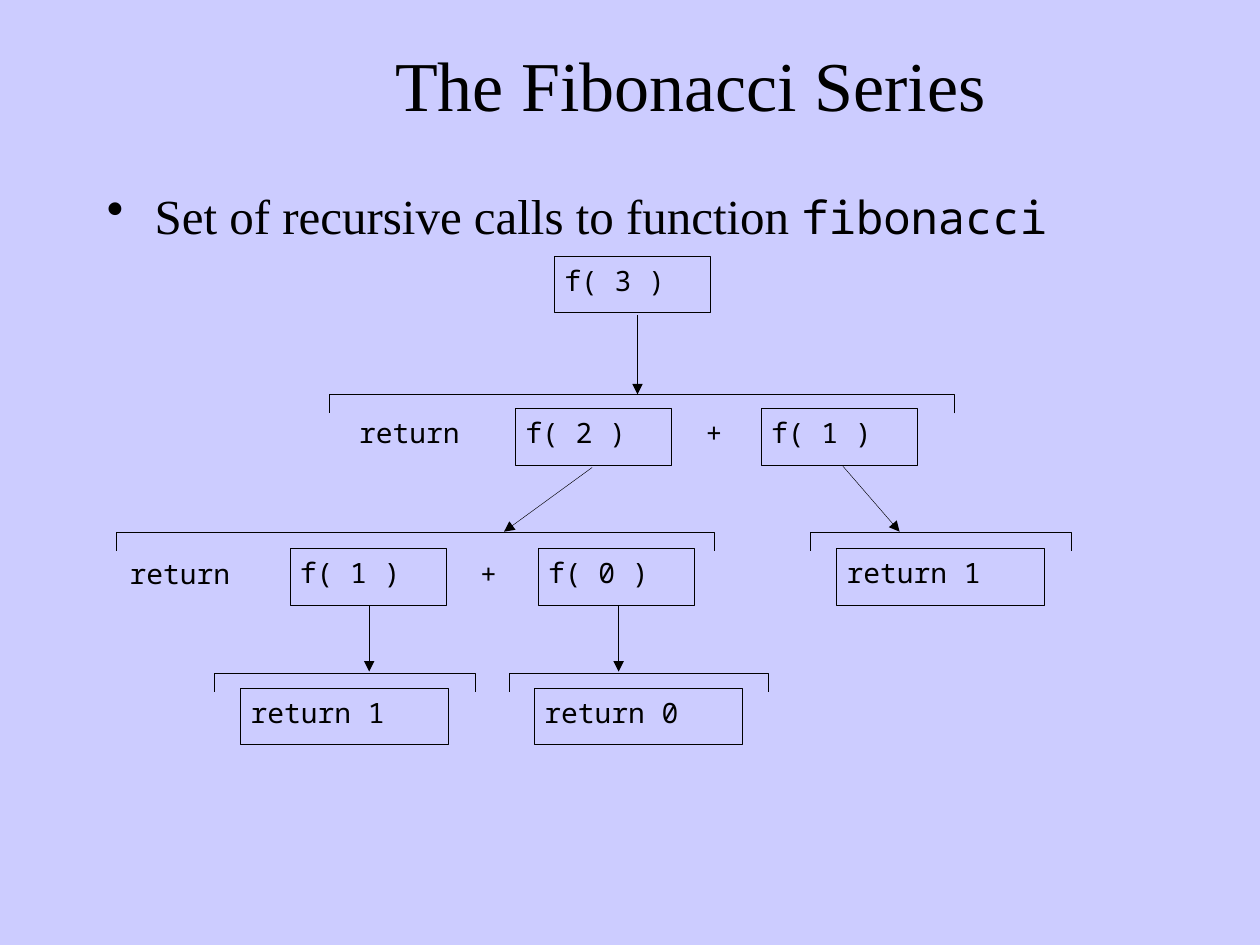
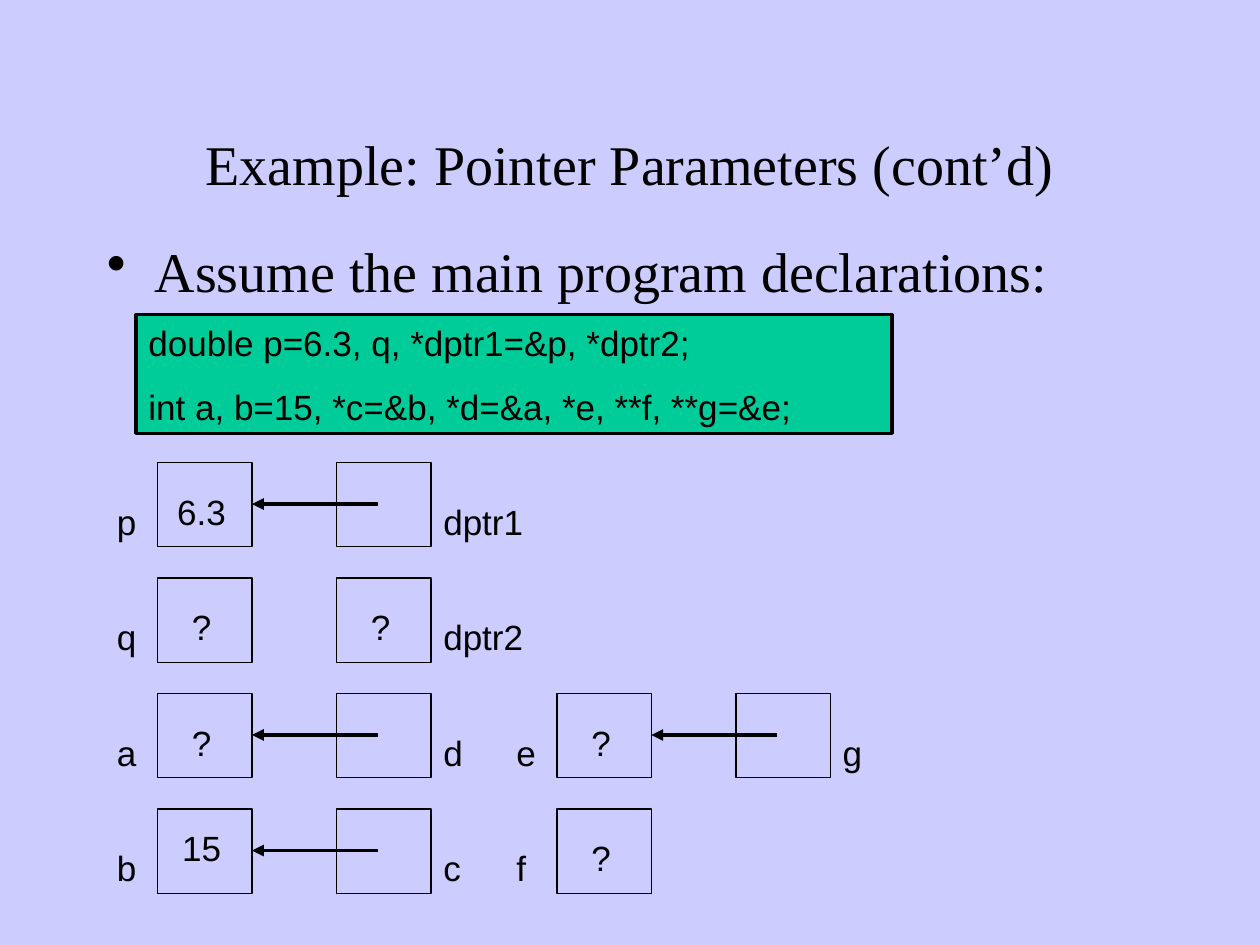
import dataclasses

import lxml.etree
import pptx
import pptx.dml.color
import pptx.enum.shapes
import pptx.enum.text
import pptx.oxml.ns
import pptx.util

Inches = pptx.util.Inches
Pt = pptx.util.Pt
ALIGN = pptx.enum.text.PP_ALIGN
ANCHOR = pptx.enum.text.MSO_ANCHOR


@dataclasses.dataclass(frozen=True)
class Theme:
    background: str = "CCCCFF"
    ink: str = "000000"
    code_fill: str = "00CC99"
    serif: str = "Times New Roman"
    sans: str = "Arial"
    mono: str = "Noto Sans Mono"
    title: float = 40
    long_title: float = 32
    call: float = 16
    memory: float = 20
    thin: float = 0.25
    cell: float = 0.75
    frame: float = 1.75
    pointer: float = 2.25


THEME = Theme()


def rgb(color):
    return pptx.dml.color.RGBColor.from_string(color)


def add_xml(parent, tag, **attributes):
    return lxml.etree.SubElement(parent, pptx.oxml.ns.qn(tag), **attributes)


def write(frame, lines, font=THEME.sans, size=THEME.memory, align=ALIGN.LEFT,
          anchor=ANCHOR.TOP, insets=(0.1, 0.05, 0.1, 0.05), gap=0, bullet=False):
    """Fill a text frame; a line is a string or a list of (text, font, size)."""
    frame.word_wrap = True
    frame.vertical_anchor = anchor
    frame.margin_left, frame.margin_top, frame.margin_right, frame.margin_bottom = map(Inches, insets)
    for index, line in enumerate(lines):
        paragraph = frame.add_paragraph() if index else frame.paragraphs[0]
        paragraph.alignment = align
        if index:
            paragraph.space_before = Pt(gap)
        if bullet:
            properties = paragraph._p.get_or_add_pPr()
            properties.set("marL", str(Inches(0.38)))
            properties.set("indent", str(-Inches(0.38)))
            add_xml(properties, "a:buChar", char="•")
        runs = [(line, font, size)] if isinstance(line, str) else line
        for text, run_font, run_size in runs:
            run = paragraph.add_run()
            run.text = text
            run.font.name = run_font
            run.font.size = Pt(run_size)
            run.font.color.rgb = rgb(THEME.ink)


def add_label(slide, left, top, width, height, lines, **text_format):
    label = slide.shapes.add_textbox(*map(Inches, (left, top, width, height)))
    write(label.text_frame, lines, **text_format)


def style_outline(shape, weight, fill=None):
    shape.shadow.inherit = False
    if fill:
        shape.fill.solid()
        shape.fill.fore_color.rgb = rgb(fill)
    else:
        shape.fill.background()
    shape.line.color.rgb = rgb(THEME.ink)
    shape.line.width = Pt(weight)


def add_box(slide, left, top, width, height, lines=(), weight=THEME.cell, fill=None, **text_format):
    box = slide.shapes.add_shape(pptx.enum.shapes.MSO_SHAPE.RECTANGLE,
                                 *map(Inches, (left, top, width, height)))
    style_outline(box, weight, fill)
    write(box.text_frame, lines, **text_format)


def add_arrow(slide, start, end, weight):
    arrow = slide.shapes.add_connector(pptx.enum.shapes.MSO_CONNECTOR.STRAIGHT,
                                       *map(Inches, (*start, *end)))
    arrow.line.color.rgb = rgb(THEME.ink)
    arrow.line.width = Pt(weight)
    add_xml(arrow.line._get_or_add_ln(), "a:tailEnd", type="triangle")
    add_xml(arrow._element.spPr, "a:effectLst")


def add_bracket(slide, left, top, right):
    """Draw the open bracket that spans the body of one call."""
    foot = top + 0.15
    outline = slide.shapes.build_freeform(Inches(right), Inches(foot))
    outline.add_line_segments([(Inches(x), Inches(y)) for x, y in
                               ((right, top), (left, top), (left, foot))], close=False)
    style_outline(outline.convert_to_shape(), THEME.thin)


def add_slide(deck, title, place, size):
    slide = deck.slides.add_slide(deck.slide_layouts.get_by_name("Title Only"))
    heading = slide.shapes.title
    heading.left, heading.top, heading.width, heading.height = map(Inches, place)
    write(heading.text_frame, [title], font=THEME.serif, size=size,
          align=ALIGN.CENTER, anchor=ANCHOR.MIDDLE)
    return slide


def add_fibonacci_slide(deck):
    slide = add_slide(deck, "The Fibonacci Series", (1.23, -0.17, 8.5, 1.67), THEME.title)
    add_label(slide, 0.75, 1.42, 8.5, 0.6,
              [[("Set of recursive calls to function ", THEME.serif, 28),
                ("fibonacci", THEME.mono, 26)]], bullet=True)

    # Bodies of the calls
    for left, top, right in ((2.61, 3.13, 7.57), (0.92, 4.22, 5.67), (6.43, 4.22, 8.5),
                             (1.7, 5.34, 3.77), (4.04, 5.34, 6.1)):
        add_bracket(slide, left, top, right)

    # Calls and returned values
    call_width, result_width = 1.24, 1.65
    for text, left, top, width in (
            ("f( 3 )", 4.4, 2.03, call_width),
            ("f( 2 )", 4.09, 3.24, call_width), ("f( 1 )", 6.04, 3.24, call_width),
            ("f( 1 )", 2.3, 4.35, call_width), ("f( 0 )", 4.27, 4.35, call_width),
            ("return 1", 6.64, 4.35, result_width),
            ("return 1", 1.91, 5.46, result_width), ("return 0", 4.24, 5.46, result_width)):
        add_box(slide, left, top, width, 0.45, [text], weight=THEME.thin,
                font=THEME.mono, size=THEME.call, insets=(0.08, 0.06, 0, 0))

    # Words around the calls
    for text, left, top, width in (("return", 2.85, 3.3, 1.2), ("+", 5.6, 3.3, 0.28),
                                   ("return", 1.03, 4.42, 1.2), ("+", 3.81, 4.42, 0.28)):
        add_label(slide, left, top, width, 0.35, [text], font=THEME.mono,
                  size=THEME.call, insets=(0, 0, 0, 0))

    # From each call to its body
    for start, end in (((5.06, 2.5), (5.06, 3.13)), ((4.7, 3.71), (4, 4.22)),
                       ((6.69, 3.7), (7.14, 4.22)), ((2.93, 4.81), (2.93, 5.33)),
                       ((4.91, 4.81), (4.91, 5.33))):
        add_arrow(slide, start, end, THEME.thin)


def add_cell(slide, left, top, value="", drop=0.22):
    add_box(slide, left, top, 0.75, 0.67, [value] if value else [],
            align=ALIGN.CENTER, insets=(0, drop, 0.05, 0))


def add_variables(slide, left, top, name, value, pointer="", pointer_value="", drop=0.22):
    """Draw a variable and, when named, the pointer beside it."""
    label_top = top + 0.25
    add_label(slide, left - 0.42, label_top, 0.42, 0.44, [name])
    add_cell(slide, left, top, value, drop)
    if not pointer:
        return
    pointer_left = left + 1.42
    add_cell(slide, pointer_left, top, pointer_value)
    add_label(slide, pointer_left + 0.75, label_top, 1, 0.44, [pointer])
    if not pointer_value:
        arrow_y = top + 0.33
        add_arrow(slide, (pointer_left + 0.33, arrow_y), (left + 0.75, arrow_y), THEME.pointer)


def add_pointer_slide(deck):
    slide = add_slide(deck, "Example: Pointer Parameters (cont’d)",
                      (0.75, 0.67, 8.5, 1.25), THEME.long_title)
    add_label(slide, 0.75, 1.83, 8.5, 0.67, ["Assume the main program declarations:"],
              font=THEME.serif, size=32, bullet=True)
    add_box(slide, 1.08, 2.5, 6, 0.94,
            ["double p=6.3, q, *dptr1=&p, *dptr2;",
             "int a, b=15, *c=&b, *d=&a, *e, **f, **g=&e;"],
            weight=THEME.frame, fill=THEME.code_fill, gap=12.5)

    # Memory cells, in four equal rows and two groups
    rows = [3.67 + 11 / 12 * row for row in range(4)]
    doubles, addresses = 1.25, 4.42
    add_variables(slide, doubles, rows[0], "p", "6.3", "dptr1")
    add_variables(slide, doubles, rows[1], "q", "?", "dptr2", "?")
    add_variables(slide, doubles, rows[2], "a", "?", "d")
    add_variables(slide, doubles, rows[3], "b", "15", "c", drop=0.14)
    add_variables(slide, addresses, rows[2], "e", "?", "g")
    add_variables(slide, addresses, rows[3], "f", "?")


def main():
    deck = pptx.Presentation()
    deck.slide_width, deck.slide_height = Inches(10), Inches(7.5)
    backdrop = deck.slide_master.background.fill
    backdrop.solid()
    backdrop.fore_color.rgb = rgb(THEME.background)
    add_fibonacci_slide(deck)
    add_pointer_slide(deck)
    deck.save("out.pptx")


if __name__ == "__main__":
    main()
